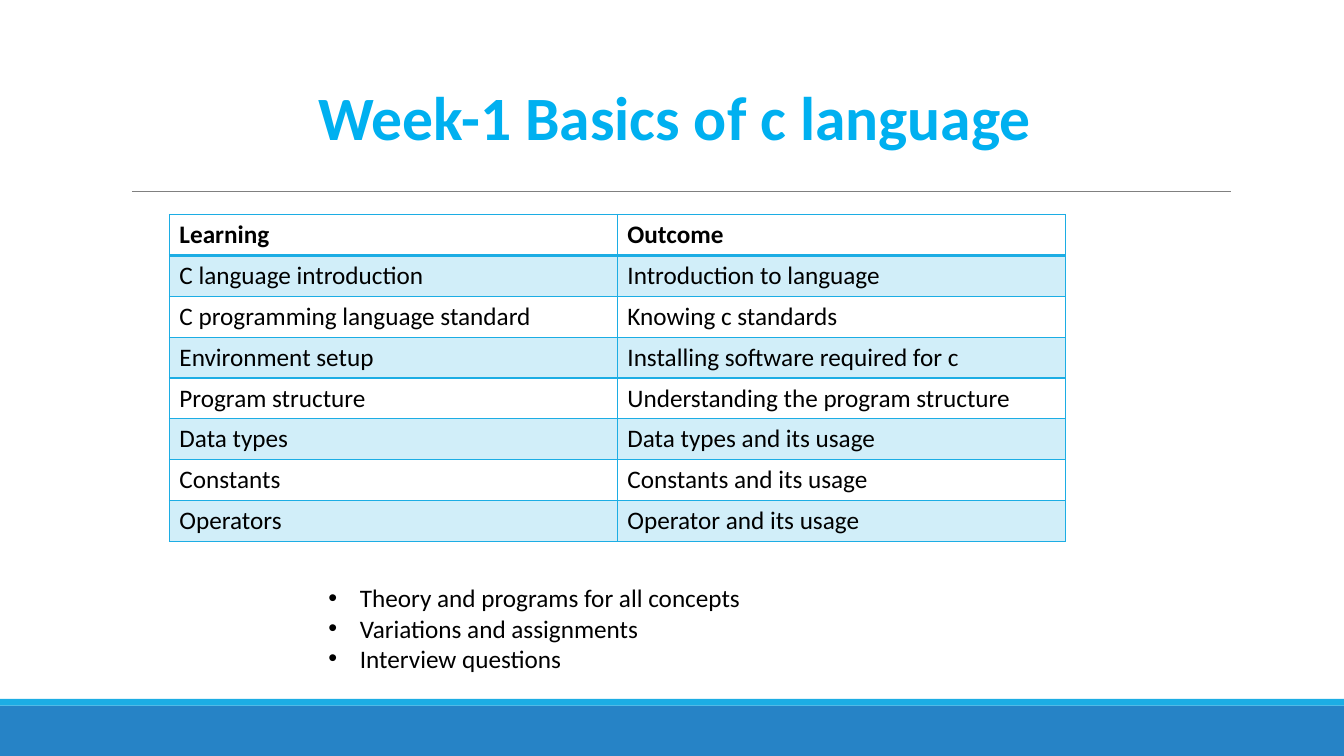
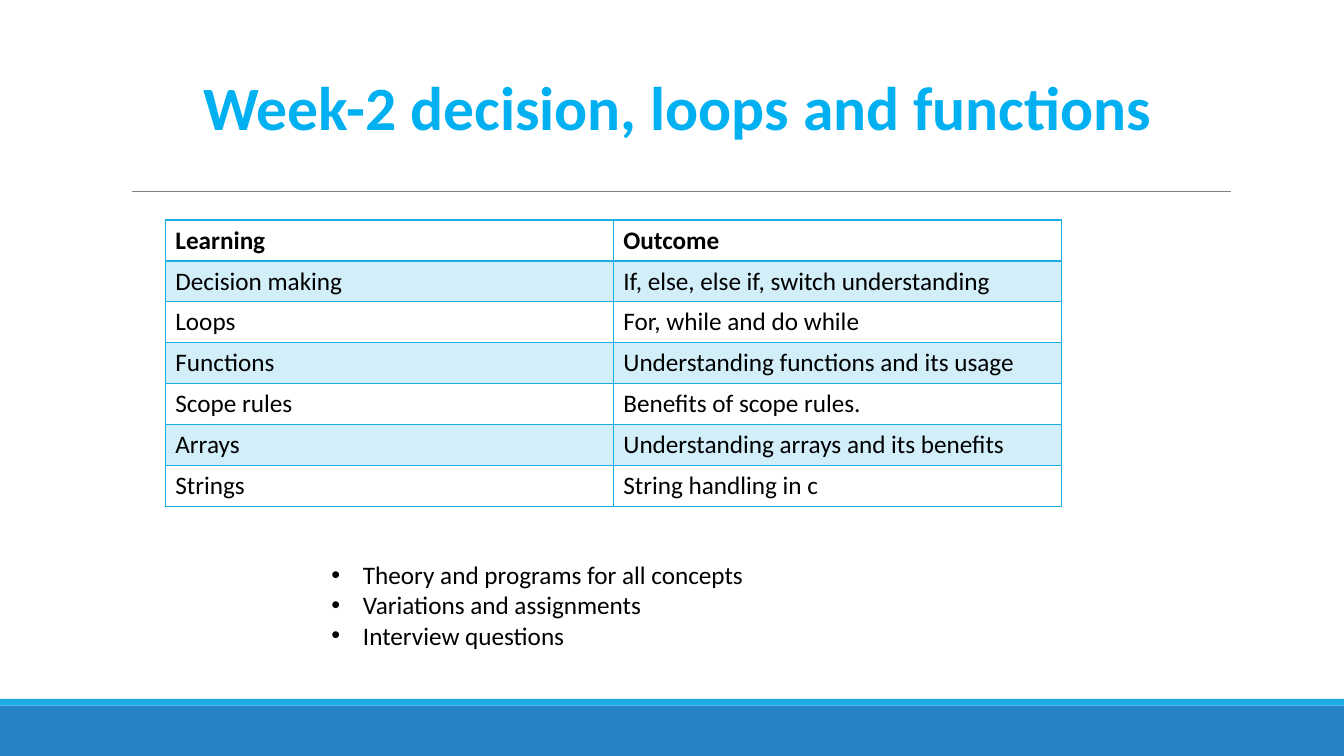
"""Builds two weekly course plan slides, each with a learning table and a bullet list."""
from dataclasses import dataclass

from lxml.etree import SubElement
from pptx import Presentation
from pptx.dml.color import RGBColor as Color
from pptx.enum.shapes import MSO_CONNECTOR as Connector, MSO_SHAPE as Preset
from pptx.enum.text import MSO_ANCHOR as Anchor, MSO_AUTO_SIZE as AutoSize
from pptx.oxml import parse_xml
from pptx.oxml.ns import nsdecls, qn
from pptx.util import Pt


@dataclass(frozen=True)
class Theme:
    font: str = "Calibri"
    title_size: float = 44
    body_size: float = 18
    title: str = "00B0F0"
    text: str = "000000"
    accent: str = "1CADE4"
    footer: str = "2683C6"
    rule: str = "808080"
    row_tint: int = 20
    row_height: float = 29.2
    column_width: float = 320
    bullet_indent: float = 22.5


class Deck:
    def __init__(self, theme):
        self.theme = theme
        self.presentation = Presentation()
        self.presentation.slide_width = Pt(960)
        self.presentation.slide_height = Pt(540)
        self.slide = None

    def add_slide(self):
        layout = self.presentation.slide_layouts[6]
        self.slide = self.presentation.slides.add_slide(layout)
        self.band(504, 36, self.theme.footer)
        self.band(499.2, 4.8, self.theme.accent)
        self.rule(94.3, 879.1, 136.8)

    def band(self, top, height, color):
        shape = self.slide.shapes.add_shape(
            Preset.RECTANGLE, 0, Pt(top), self.presentation.slide_width, Pt(height))
        shape.shadow.inherit = False
        shape.fill.solid()
        shape.fill.fore_color.rgb = Color.from_string(color)
        shape.line.fill.background()

    def rule(self, left, right, top):
        line = self.slide.shapes.add_connector(
            Connector.STRAIGHT, Pt(left), Pt(top), Pt(right), Pt(top))
        line.line.color.rgb = Color.from_string(self.theme.rule)
        line.line.width = Pt(0.5)
        SubElement(line._element.spPr, qn("a:effectLst"))

    def run(self, paragraph, text, size, color, bold=False):
        run = paragraph.add_run()
        run.text = text
        run.font.name = self.theme.font
        run.font.size = Pt(size)
        run.font.bold = bold
        run.font.color.rgb = Color.from_string(color)

    def text_frame(self, left, top, width, height):
        box = self.slide.shapes.add_textbox(Pt(left), Pt(top), Pt(width), Pt(height))
        frame = box.text_frame
        frame.word_wrap = False
        frame.auto_size = AutoSize.SHAPE_TO_FIT_TEXT
        return frame

    def title(self, text, left, top, width):
        frame = self.text_frame(left, top, width, 60.5)
        self.run(frame.paragraphs[0], text, self.theme.title_size, self.theme.title, True)

    def bullets(self, items, left, top):
        frame = self.text_frame(left, top, 311.8, 72.7)
        indent = Pt(self.theme.bullet_indent)
        for index, item in enumerate(items):
            paragraph = frame.add_paragraph() if index else frame.paragraphs[0]
            properties = paragraph._p.get_or_add_pPr()
            properties.set("marL", str(indent))
            properties.set("indent", str(-indent))
            SubElement(properties, qn("a:buFont"), typeface="Arial")
            SubElement(properties, qn("a:buChar"), char="•")
            self.run(paragraph, item, self.theme.body_size, self.theme.text)

    def borders(self, cell, top, bottom):
        properties = cell._tc.get_or_add_tcPr()
        widths = {"lnL": 1, "lnR": 1, "lnT": top, "lnB": bottom}
        for position, (side, width) in enumerate(widths.items()):
            properties.insert(position, parse_xml(
                f'<a:{side} {nsdecls("a")} w="{Pt(width)}"><a:solidFill>'
                f'<a:srgbClr val="{self.theme.accent}"/></a:solidFill></a:{side}>'))

    def tint(self, cell):
        cell.fill.solid()
        cell.fill.fore_color.rgb = Color.from_string(self.theme.accent)
        color = cell._tc.tcPr.find(".//" + qn("a:srgbClr"))
        SubElement(color, qn("a:alpha"), val=str(self.theme.row_tint * 1000))

    def table(self, rows, left, top):
        columns = len(rows[0])
        frame = self.slide.shapes.add_table(
            len(rows), columns, Pt(left), Pt(top),
            Pt(columns * self.theme.column_width), Pt(len(rows) * self.theme.row_height))
        table = frame.table
        table.horz_banding = False
        for row, texts in enumerate(rows):
            for column, text in enumerate(texts):
                cell = table.cell(row, column)
                cell.vertical_anchor = Anchor.TOP
                if row % 2:
                    self.tint(cell)
                else:
                    cell.fill.background()
                self.borders(cell, 2 if row == 1 else 1, 2 if row == 0 else 1)
                self.run(cell.text_frame.paragraphs[0], text,
                         self.theme.body_size, self.theme.text, row == 0)


HEADER = ("Learning", "Outcome")
ACTIVITIES = (
    "Theory and programs for all concepts",
    "Variations and assignments",
    "Interview questions",
)
BASICS = (
    ("C language introduction", "Introduction to language"),
    ("C programming language standard", "Knowing c standards"),
    ("Environment setup", "Installing software required for c"),
    ("Program structure", "Understanding the program structure"),
    ("Data types", "Data types and its usage"),
    ("Constants", "Constants and its usage"),
    ("Operators", "Operator and its usage"),
)
CONTROL_FLOW = (
    ("Decision making", "If, else, else if, switch understanding"),
    ("Loops", "For, while and do while"),
    ("Functions", "Understanding functions and its usage"),
    ("Scope rules", "Benefits of scope rules."),
    ("Arrays", "Understanding arrays and its benefits"),
    ("Strings", "String handling in c"),
)

deck = Deck(Theme())

deck.add_slide()
deck.title("Week-1 Basics of c language", 220.3, 52.6, 529.9)
deck.table((HEADER, *BASICS), 121, 153.2)
deck.bullets(ACTIVITIES, 227.5, 412.6)

deck.add_slide()
deck.title("Week-2 decision, loops and functions", 138.2, 45.4, 700.6)
deck.table((HEADER, *CONTROL_FLOW), 118.1, 157.2)
deck.bullets(ACTIVITIES, 229.7, 396)

deck.presentation.save("out.pptx")
